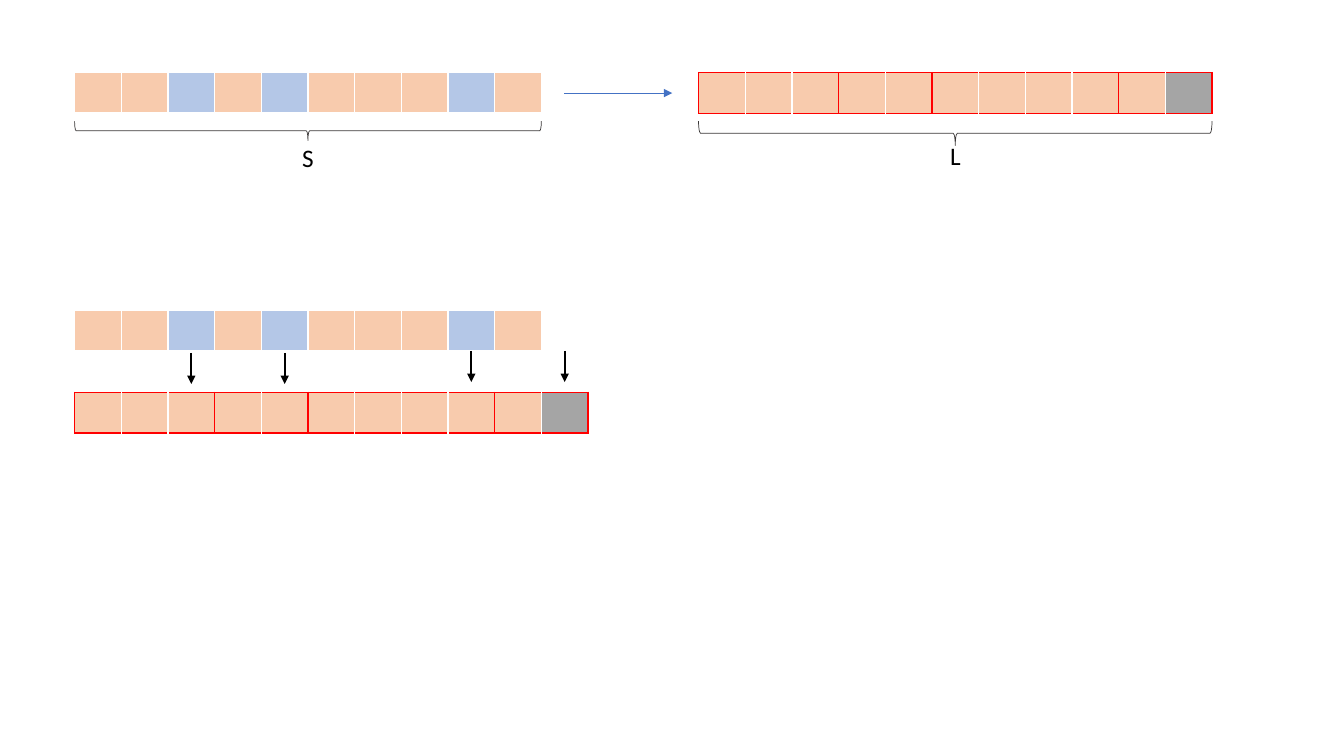
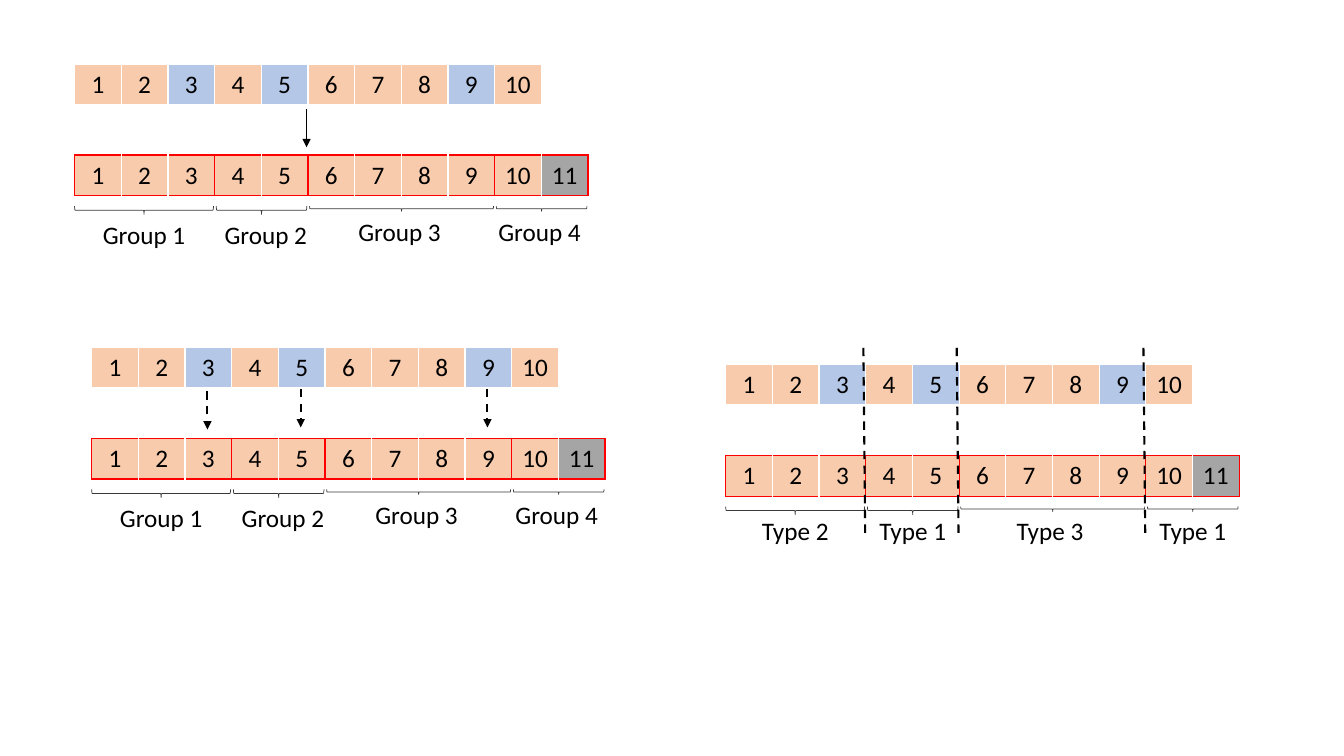
from pptx import Presentation
from pptx import util as u
from pptx.dml.color import RGBColor
from pptx.enum import dml, shapes, text
from pptx.oxml.ns import qn
from lxml import etree

Pt = u.Pt

# Colours
WHITE = RGBColor(0xFF, 0xFF, 0xFF)
BLACK = RGBColor(0, 0, 0)
RED = RGBColor(0xFF, 0, 0)
PEACH = RGBColor(0xF8, 0xCB, 0xAD)
SKY = RGBColor(0xB4, 0xC7, 0xE7)
GREY = RGBColor(0xA5, 0xA5, 0xA5)
BLUE = RGBColor(0x44, 0x72, 0xC4)
CHARCOAL = RGBColor(0x3B, 0x38, 0x38)

# Cell grid
CELL_WIDTH, CELL_HEIGHT = 33.34, 29.2
SHORT, LONG = 10, 11
MARKED = (3, 5, 9)              # cells that close a group
BOUNDS = (0, *MARKED, LONG)
ROW_STEP = 64.6                 # from the short row to the long row
BRACE_DROP = 36.6               # from the long row to its braces
BRACE_HEIGHTS = (5.8, 5.8, 3.6, 3.6)


def boundary(left, count):
    return left + count * CELL_WIDTH


def cell_centre(left, number):
    return boundary(left, number - 0.5)


class Diagram:
    FONT = {"name": "Calibri", "size": Pt(18), "bold": False}
    FRAME = {"word_wrap": True, "auto_size": text.MSO_AUTO_SIZE.NONE}

    def __init__(self):
        self.deck = Presentation()
        self.deck.slide_width, self.deck.slide_height = Pt(960), Pt(540)
        self.page = None

    def new_page(self):
        self.page = self.deck.slides.add_slide(self.deck.slide_layouts[6])

    @staticmethod
    def apply(target, values):
        for name, value in values.items():
            setattr(target, name, value)

    def set_words(self, frame, words):
        para = frame.paragraphs[0]
        para.alignment = text.PP_ALIGN.CENTER
        span = para.add_run()
        span.text = words
        self.apply(span.font, self.FONT)
        span.font.color.rgb = BLACK

    @staticmethod
    def border(cell, side, colour, weight):
        edge = etree.SubElement(cell._tc.get_or_add_tcPr(), qn(f"a:ln{side}"),
                                w=str(int(Pt(weight))))
        fill = etree.SubElement(edge, qn("a:solidFill"))
        etree.SubElement(fill, qn("a:srgbClr"), val=str(colour))

    def row(self, left, top, fills, numbered, outline, red_bounds, base):
        """One-row table; the listed cell boundaries are red, the rest white."""
        count = len(fills)
        table = self.page.shapes.add_table(
            1, count, Pt(left), Pt(top), Pt(count * CELL_WIDTH), Pt(CELL_HEIGHT)).table
        self.apply(table, {"first_row": False, "horz_banding": False})
        for index, colour in enumerate(fills):
            table.columns[index].width = Pt(CELL_WIDTH)
            cell = table.cell(0, index)
            sides = [RED if edge in red_bounds else WHITE
                     for edge in (index, index + 1)]
            for side, shade, weight in (("L", sides[0], 1), ("R", sides[1], 1),
                                        ("T", outline, 1), ("B", outline, base)):
                self.border(cell, side, shade, weight)
            cell.fill.solid()
            cell.fill.fore_color.rgb = colour
            if numbered:
                self.set_words(cell.text_frame, str(index + 1))

    def short_row(self, left, top, numbered=False):
        fills = [SKY if number in MARKED else PEACH
                 for number in range(1, SHORT + 1)]
        self.row(left, top, fills, numbered, WHITE, (), 3)

    def long_row(self, left, top, numbered=False):
        self.row(left, top, [PEACH] * SHORT + [GREY], numbered, RED, BOUNDS, 1)

    def line(self, start, end, colour=BLACK, weight=1.5, dashed=False, arrow=True):
        line = self.page.shapes.add_connector(
            shapes.MSO_CONNECTOR.STRAIGHT, *map(Pt, (*start, *end)))
        line.line.color.rgb = colour
        line.line.width = Pt(weight)
        if dashed:
            line.line.dash_style = dml.MSO_LINE.DASH
        if arrow:
            etree.SubElement(line.line._get_or_add_ln(), qn("a:tailEnd"),
                             type="triangle")
        etree.SubElement(line._element.spPr, qn("a:effectLst"))

    def down_arrow(self, x, top, length, **style):
        self.line((x, top), (x, top + length), **style)

    def brace(self, left, top, width, height):
        """Brace below a row: a left brace turned so that it points down."""
        brace = self.page.shapes.add_shape(
            shapes.MSO_SHAPE.LEFT_BRACE,
            Pt(left + (width - height) / 2), Pt(top + (height - width) / 2),
            Pt(height), Pt(width))
        brace.rotation = 270
        brace.shadow.inherit = False
        brace.fill.background()
        brace.line.color.rgb = CHARCOAL
        brace.line.width = Pt(0.5)

    def label(self, words, centre, top, width=90):
        box = self.page.shapes.add_textbox(
            Pt(centre - width / 2), Pt(top), Pt(width), Pt(29))
        self.apply(box.text_frame, self.FRAME)
        self.set_words(box.text_frame, words)

    def grouped_rows(self, left, top, labels):
        """Numbered short and long rows, with a brace and label for each group."""
        self.short_row(left, top, numbered=True)
        long_top = top + ROW_STEP
        self.long_row(left, long_top, numbered=True)
        for first, last, height, (words, shift, drop) in zip(
                BOUNDS, BOUNDS[1:], BRACE_HEIGHTS, labels):
            start = boundary(left, first) + (1.2 if first else 0)
            width = boundary(left, last) - 0.8 - start
            self.brace(start, long_top + BRACE_DROP, width, height)
            self.label(words, start + width / 2 + shift, long_top + drop)


def build_lengths(diagram):
    diagram.new_page()
    left, right, top = 53.3, 499, 51.8

    # Short row turns into long row
    diagram.short_row(left, top)
    diagram.long_row(right, top)
    diagram.line((403.2, 66.5), (480.2, 66.5), colour=BLUE, weight=0.5)
    for words, start, count, height, label_top in (
            ("S", left, SHORT, 13.7, 97.9), ("L", right, LONG, 17.3, 96.8)):
        width = count * CELL_WIDTH
        diagram.brace(start, 86.6, width, height)
        diagram.label(words, start + width / 2, label_top)

    # Marked cells and the added cell
    diagram.short_row(left, 221.8)
    diagram.long_row(left, 280.1)
    for number, arrow_top in ((3, 252), (5, 252), (9, 250.6), (LONG, 250.6)):
        diagram.down_arrow(cell_centre(left, number), arrow_top, 22.3)


def build_groups(diagram):
    diagram.new_page()
    groups = [("Group 1", 0, 42.5), ("Group 2", 3, 42.5),
              ("Group 3", -1.5, 40.3), ("Group 4", -1.5, 40.3)]
    types = [(f"Type {kind}", shift, 39)
             for kind, shift in ((2, 0), (1, 0), (3, -2), (1, 0))]

    # Groups
    left, top = 53.3, 46.1
    diagram.grouped_rows(left, top, groups)
    diagram.down_arrow(boundary(left, 5) - 1, 77.8, 27.4, weight=0.5)

    # Groups with their closing cells
    left, top = 65.5, 248.4
    diagram.grouped_rows(left, top, groups)
    for number, arrow_top in zip(MARKED, (279.4, 277.9, 277.9)):
        diagram.down_arrow(cell_centre(left, number) - 0.7, arrow_top, 27.4,
                           dashed=True)

    # Types with dividers
    left, top = 518.4, 260.6
    diagram.grouped_rows(left, top, types)
    for number in MARKED:
        x = boundary(left, number)
        diagram.line((x - 1.7, 248.4), (x - 0.4, 382.3), dashed=True, arrow=False)


def main():
    diagram = Diagram()
    build_lengths(diagram)
    build_groups(diagram)
    diagram.deck.save("out.pptx")


if __name__ == "__main__":
    main()
